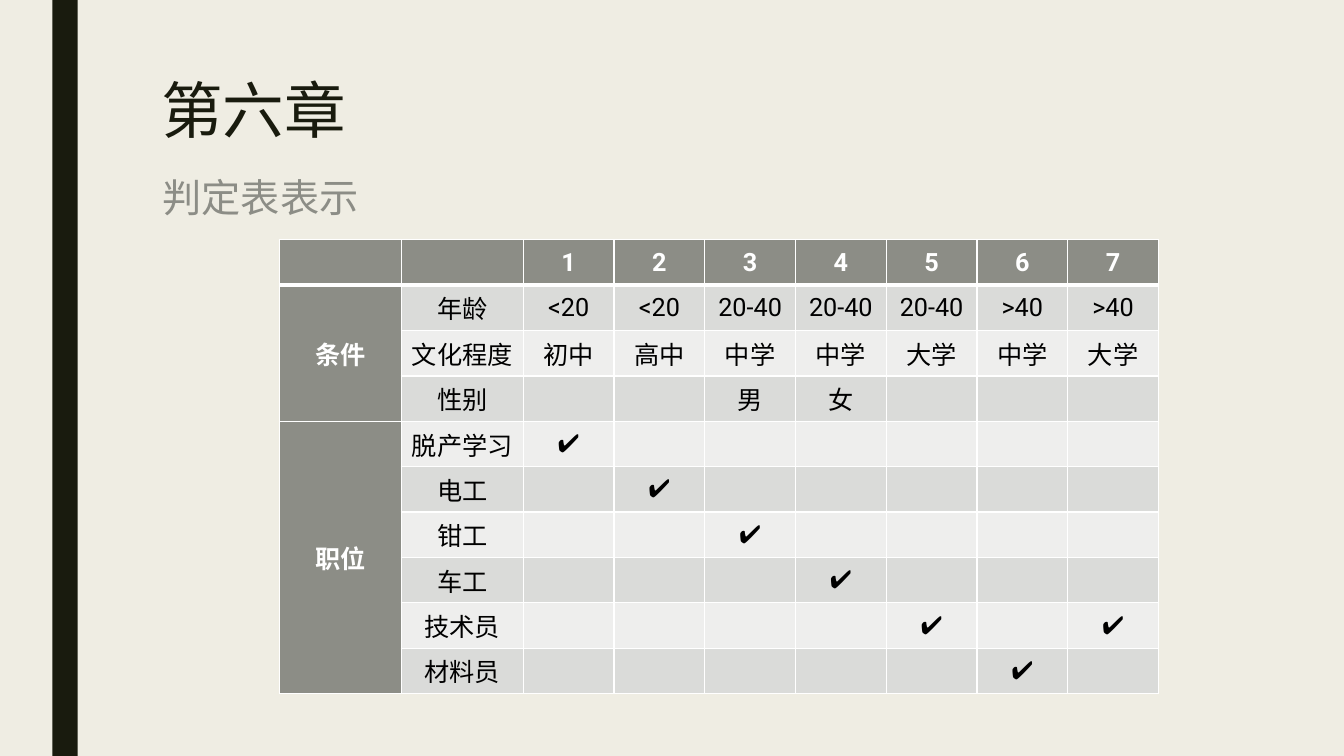
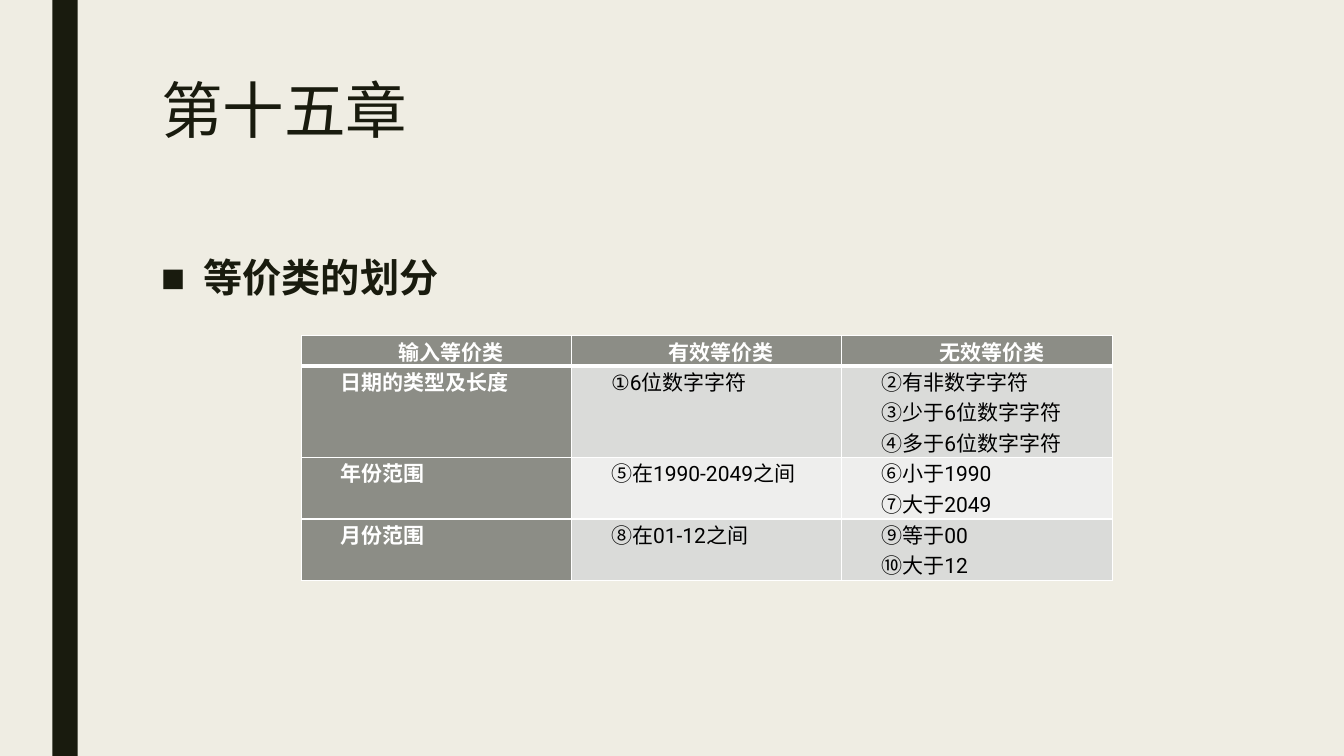
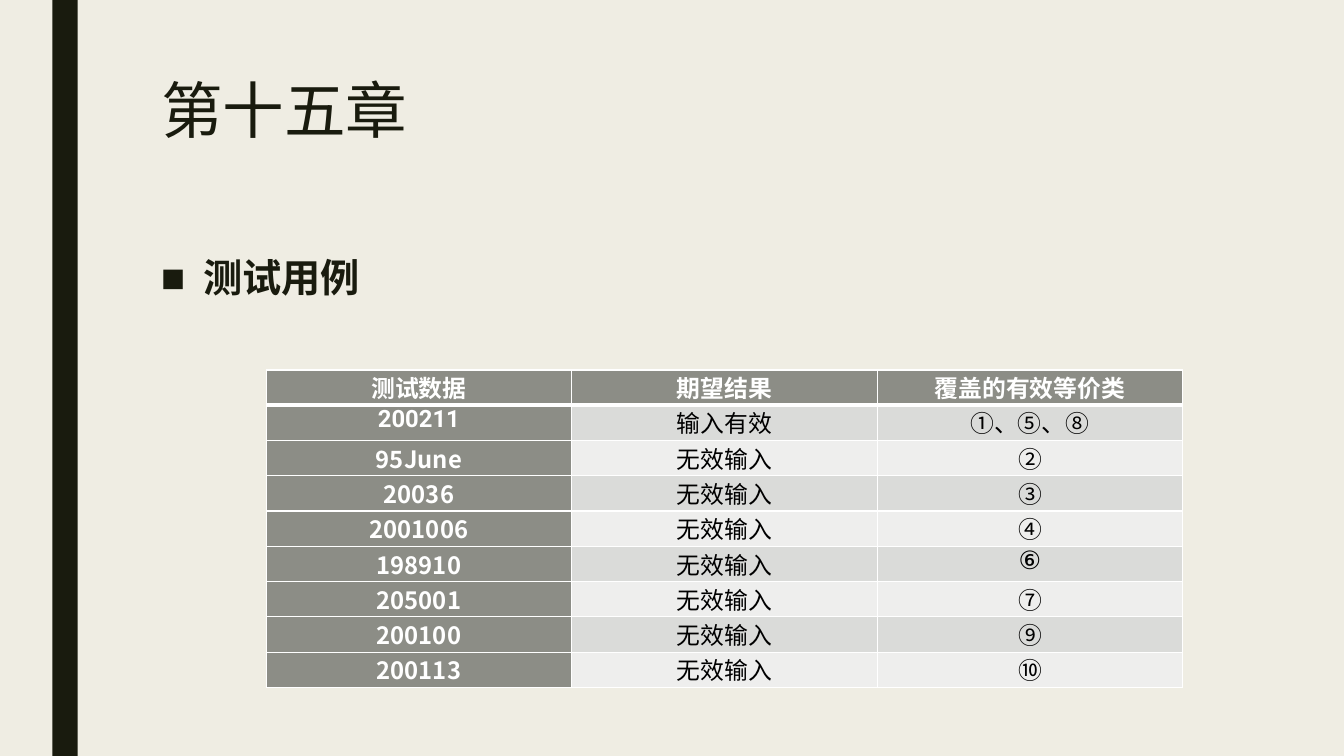
from dataclasses import dataclass
from typing import Optional

from lxml.etree import SubElement
from pptx import Presentation
from pptx.dml.color import RGBColor
from pptx.enum.shapes import MSO_SHAPE
from pptx.enum.text import MSO_ANCHOR, PP_ALIGN
from pptx.oxml.ns import qn
from pptx.util import Inches, Pt


@dataclass(frozen=True)
class Theme:
    paper: str = "EFEDE3"
    ink: str = "191B0E"
    gray: str = "8C8D86"
    band_dark: str = "DADBD9"
    band_light: str = "EEEEED"
    white: str = "FFFFFF"
    black: str = "000000"
    latin: str = "Roboto"
    cjk: str = "Noto Sans CJK SC"
    title_size: int = 44
    heading_size: int = 28
    rule: int = 1
    header_rule: int = 3


THEME = Theme()


@dataclass(frozen=True)
class Entry:
    """Cell text whose font or size departs from the rest of its table."""
    text: str
    latin: str = THEME.latin
    east_asian: str = THEME.cjk
    size: Optional[int] = None


@dataclass(frozen=True)
class TableStyle:
    size: int
    side_inset: float
    header_columns: int = 1
    anchor: MSO_ANCHOR = MSO_ANCHOR.TOP
    body_align: PP_ALIGN = PP_ALIGN.CENTER
    first_line: float = 0


def rgb(value):
    return RGBColor.from_string(value)


def add_run(paragraph, entry, size, color, bold=False):
    run = paragraph.add_run()
    run.text = entry.text
    run.font.name = entry.latin
    run.font.size = Pt(entry.size or size)
    run.font.bold = bold
    run.font.color.rgb = rgb(color)
    east_asian = SubElement(run._r.get_or_add_rPr(), qn("a:ea"))
    east_asian.set("typeface", entry.east_asian)


def add_text(slide, box, text, size, color, bold=False, wrap=True):
    frame = slide.shapes.add_textbox(*map(Inches, box)).text_frame
    frame.word_wrap = wrap
    paragraph = frame.paragraphs[0]
    add_run(paragraph, Entry(text), size, color, bold)
    return paragraph


def add_page(prs, title):
    slide = prs.slides.add_slide(prs.slide_layouts[6])
    band = slide.shapes.add_shape(
        MSO_SHAPE.RECTANGLE, Inches(0.52), 0, Inches(0.25), prs.slide_height)
    band.shadow.inherit = False
    band.fill.solid()
    band.fill.fore_color.rgb = rgb(THEME.ink)
    band.line.fill.background()
    heading = add_text(slide, (1.5, 0.75, 10.5, 1.62), title,
                       THEME.title_size, THEME.ink)
    heading.line_spacing = 0.89
    return slide


def add_bullet(slide, text):
    paragraph = add_text(slide, (1.5, 2.5, 10.5, 3.92), text,
                         THEME.heading_size, THEME.ink, bold=True)
    properties = paragraph._p.get_or_add_pPr()
    properties.set("marL", str(Inches(0.42)))
    properties.set("indent", str(-Inches(0.42)))
    SubElement(properties, qn("a:buSzPct")).set("val", "65000")
    SubElement(properties, qn("a:buFont")).set("typeface", THEME.latin)
    SubElement(properties, qn("a:buChar")).set("char", "■")
    paragraph.line_spacing = 0.94
    paragraph.space_after = Pt(2)


def set_borders(cell, row):
    """Rule every side, with a heavier line under the header row."""
    widths = {"L": THEME.rule, "R": THEME.rule,
              "T": THEME.header_rule if row == 1 else THEME.rule,
              "B": THEME.header_rule if row == 0 else THEME.rule}
    for side, width in widths.items():
        line = SubElement(cell._tc.get_or_add_tcPr(), qn(f"a:ln{side}"))
        line.set("w", str(Pt(width)))
        fill = SubElement(line, qn("a:solidFill"))
        SubElement(fill, qn("a:srgbClr")).set("val", THEME.white)


def fill_cell(cell, content, row, column, style):
    """Style one cell; a list as content gives one paragraph per item."""
    is_header = row == 0 or column < style.header_columns
    set_borders(cell, row)
    cell.fill.solid()
    band = THEME.band_dark if row % 2 else THEME.band_light
    cell.fill.fore_color.rgb = rgb(THEME.gray if is_header else band)
    cell.margin_left = cell.margin_right = Inches(style.side_inset)
    cell.margin_top = cell.margin_bottom = 0
    cell.vertical_anchor = style.anchor
    lines = content if isinstance(content, list) else [content]
    for number, line in enumerate(lines):
        frame = cell.text_frame
        paragraph = frame.add_paragraph() if number else frame.paragraphs[0]
        paragraph.alignment = style.body_align if row else PP_ALIGN.CENTER
        if style.first_line:
            paragraph._p.get_or_add_pPr().set(
                "indent", str(Inches(style.first_line)))
        if line:
            entry = line if isinstance(line, Entry) else Entry(line)
            add_run(paragraph, entry, style.size,
                    THEME.white if is_header else THEME.black, is_header)


def add_grid(slide, left, top, widths, heights, rows, style):
    table = slide.shapes.add_table(
        len(heights), len(widths), Inches(left), Inches(top),
        Inches(sum(widths)), Inches(sum(heights))).table
    for column, width in zip(table.columns, widths):
        column.width = Inches(width)
    for table_row, height in zip(table.rows, heights):
        table_row.height = Inches(height)
    for row, contents in enumerate(rows):
        for column, content in enumerate(contents):
            fill_cell(table.cell(row, column), content, row, column, style)
    return table


def merge_group(table, first, last):
    """Join first-column rows into one label set vertically."""
    label = table.cell(first, 0)
    label.merge(table.cell(last, 0))
    label._tc.get_or_add_tcPr().set("vert", "eaVert")


def build_decision_table(prs):
    slide = add_page(prs, "第六章")
    subtitle = add_text(slide, (1.5, 1.67, 2.17, 0.57), "判定表表示",
                        THEME.heading_size, THEME.gray, wrap=False)
    subtitle.alignment = PP_ALIGN.CENTER
    rules = range(1, 8)
    conditions = [
        ["年龄", "<20", "<20", "20-40", "20-40", "20-40", ">40", ">40"],
        ["文化程度", "初中", "高中", "中学", "中学", "大学", "中学", "大学"],
        ["性别", "", "", "男", "女", "", "", ""],
    ]
    matching_rules = {"脱产学习": [1], "电工": [2], "钳工": [3],
                      "车工": [4], "技术员": [5, 7], "材料员": [6]}
    positions = [[job] + ["✔" if rule in matches else "" for rule in rules]
                 for job, matches in matching_rules.items()]
    rows = [["", ""] + [str(rule) for rule in rules]]
    groups = []
    for label, members in (("条件", conditions), ("职位", positions)):
        groups.append((len(rows), len(rows) + len(members) - 1))
        rows += [[label if number == 0 else ""] + member
                 for number, member in enumerate(members)]
    table = add_grid(slide, 2.77, 2.38, [1.21] * 2 + [0.9] * len(rules),
                     [0.45] * len(rows), rows,
                     TableStyle(18, 0.07, anchor=MSO_ANCHOR.MIDDLE))
    for first, last in groups:
        merge_group(table, first, last)


def build_equivalence_classes(prs):
    slide = add_page(prs, "第十五章")
    add_bullet(slide, "等价类的划分")
    rows = [
        ["输入等价类", "有效等价类", "无效等价类"],
        ["日期的类型及长度", "①6位数字字符",
         ["②有非数字字符", "③少于6位数字字符", "④多于6位数字字符"]],
        ["年份范围", "⑤在1990-2049之间", ["⑥小于1990", "⑦大于2049"]],
        ["月份范围", "⑧在01-12之间", ["⑨等于00", "⑩大于12"]],
    ]
    add_grid(slide, 2.99, 3.33, [2.68] * 3, [0.3, 0.91, 0.61, 0.61], rows,
             TableStyle(15, 0.1, body_align=PP_ALIGN.JUSTIFY,
                        first_line=0.29))


def build_test_cases(prs):
    slide = add_page(prs, "第十五章")
    add_bullet(slide, "测试用例")
    invalid_cases = [
        ("95June", "②"), ("20036", "③"), ("2001006", "④"), ("198910", "⑥"),
        ("205001", "⑦"), ("200100", "⑨"), ("200113", "⑩"),
    ]
    rows = [["测试数据", "期望结果", "覆盖的有效等价类"],
            ["200211", "输入有效", "①、⑤、⑧"]]
    for data, covered in invalid_cases:
        rows.append([Entry(data, THEME.cjk), "无效输入",
                     Entry(covered, THEME.cjk)])
    rows[5][2] = Entry("⑥", east_asian=THEME.latin, size=18)
    add_grid(slide, 2.64, 3.67, [3.03] * 3, [0.35] * len(rows), rows,
             TableStyle(17, 0.12))


def main():
    prs = Presentation()
    prs.slide_width, prs.slide_height = Inches(13.33), Inches(7.5)
    background = prs.slide_master.background.fill
    background.solid()
    background.fore_color.rgb = rgb(THEME.paper)
    build_decision_table(prs)
    build_equivalence_classes(prs)
    build_test_cases(prs)
    prs.save("out.pptx")


if __name__ == "__main__":
    main()
